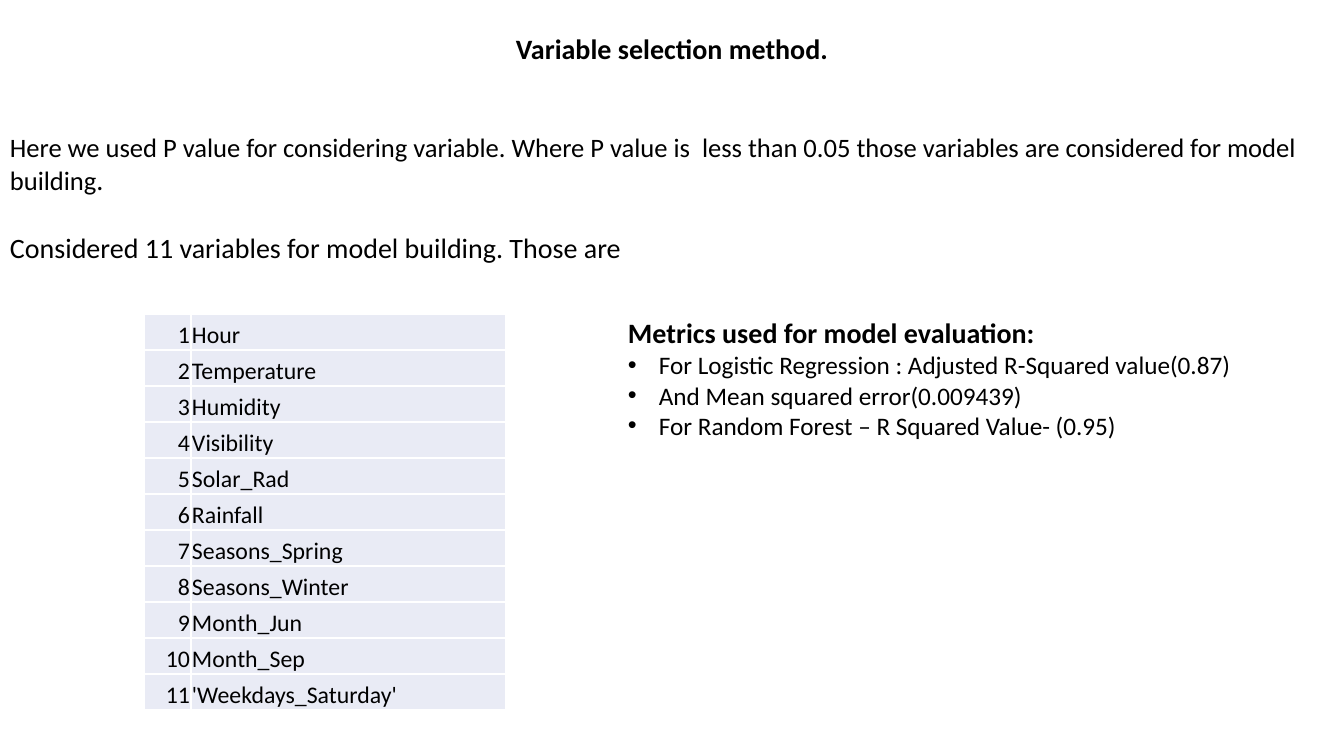
import pptx
import pptx.util
import pptx.dml.color
import pptx.enum.text
import pptx.oxml
import pptx.oxml.ns
import lxml.etree

UNIT = 914400 / 100.8
FONT = "Calibri"
COLORS = {"text": "000000", "cell": "E9EBF5", "line": "FFFFFF"}
ALIGN = pptx.enum.text.PP_ALIGN


def px(num):
    return pptx.util.Emu(round(num * UNIT))


def write(para, text, size=20, bold=False, align=ALIGN.LEFT, before=0, bullet=False):
    para.alignment = align
    para.space_before = pptx.util.Pt(before)
    run = para.add_run()
    run.text = text
    run.font.name = FONT
    run.font.size = pptx.util.Pt(size)
    run.font.bold = bold
    run.font.color.rgb = pptx.dml.color.RGBColor.from_string(COLORS["text"])
    if bullet:
        props = para._p.get_or_add_pPr()
        props.set("marL", str(px(31)))
        props.set("indent", str(-px(31)))
        face = lxml.etree.SubElement(props, pptx.oxml.ns.qn("a:buFont"))
        face.set("typeface", "Arial")
        mark = lxml.etree.SubElement(props, pptx.oxml.ns.qn("a:buChar"))
        mark.set("char", "•")


deck = pptx.Presentation()
deck.slide_width, deck.slide_height = px(1344), px(756)
slide = deck.slides.add_slide(deck.slide_layouts[6])

# Text boxes
frames = []
for box in [(0, 27, 1344, 44), (0, 126, 1344, 144), (618, 311, 695, 136)]:
    frame = slide.shapes.add_textbox(*map(px, box)).text_frame
    frame.word_wrap = True
    frames.append(frame)
title, intro, metrics = frames

# Title
write(title.paragraphs[0], "Variable selection method.", bold=True, align=ALIGN.CENTER)

# Introduction
first = intro.paragraphs[0]
write(first, "Here we used P value for considering variable. Where P value is  less "
      "than 0.05 those variables are considered for model building", size=19)
write(first, ".")
write(intro.add_paragraph(), "Considered 11 variables for model building. Those are ", before=24)

# Table of variables
names = ["Hour", "Temperature", "Humidity ", "Visibility", "Solar_Rad", "Rainfall",
         "Seasons_Spring", "Seasons_Winter", "Month_Jun", "Month_Sep",
         "'Weekdays_Saturday'"]
table = slide.shapes.add_table(len(names), 2, px(144), px(314), px(362), px(396)).table
table.first_row = table.horz_banding = False
for col, width in zip(table.columns, (47, 315)):
    col.width = px(width)
for row, name in enumerate(names):
    table.rows[row].height = px(36)
    for col, (text, align) in enumerate([(str(row + 1), ALIGN.RIGHT), (name, ALIGN.LEFT)]):
        cell = table.cell(row, col)
        cell.margin_left = cell.margin_right = cell.margin_top = px(1)
        cell.margin_bottom = 0
        cell.vertical_anchor = pptx.enum.text.MSO_ANCHOR.BOTTOM
        write(cell.text_frame.paragraphs[0], text, size=17, align=align)
        for side in ("lnL", "lnR", "lnT", "lnB"):
            cell._tc.get_or_add_tcPr().append(pptx.oxml.parse_xml(
                f'<a:{side} {pptx.oxml.ns.nsdecls("a")} w="12700"><a:solidFill>'
                f'<a:srgbClr val="{COLORS["line"]}"/></a:solidFill></a:{side}>'))
        cell.fill.solid()
        cell.fill.fore_color.rgb = pptx.dml.color.RGBColor.from_string(COLORS["cell"])

# Metrics
write(metrics.paragraphs[0], "Metrics used for model evaluation:", bold=True)
for text in ["For Logistic Regression : Adjusted R-Squared value(0.87)",
             "And Mean squared error(0.009439)",
             "For Random Forest – R Squared Value- (0.95)"]:
    write(metrics.add_paragraph(), text, size=18, bullet=True)

deck.save("out.pptx")
